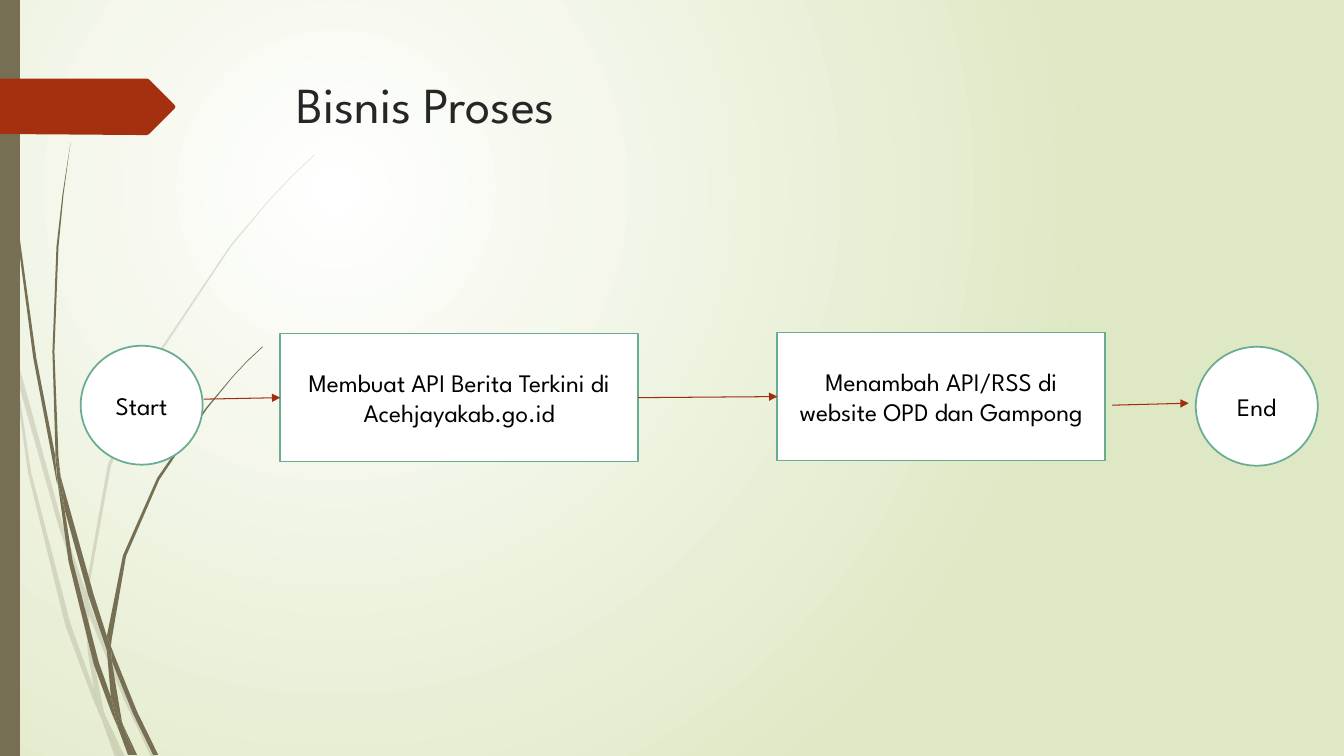
from dataclasses import dataclass

from lxml import etree
from pptx import Presentation, util as u
from pptx.dml.color import RGBColor
from pptx.enum import shapes, text
from pptx.oxml.ns import qn

PX = 9144  # EMU per px, 100 px to the inch


@dataclass(frozen=True)
class Theme:
    font: str = "League Spartan"
    title_size: int = 36
    body_size: int = 18
    border_width: float = 1.25
    arrow_width: float = 0.75
    title: str = "262626"
    ink: str = "000000"
    white: str = "FFFFFF"
    meadow: str = "DFE8C4"
    grass: str = "766F54"
    tag: str = "A53010"
    border: str = "6AAC91"
    arrow: str = "9E2E0F"


THEME = Theme()
SLIDE_SIZE = (1333, 750)
TITLE = ("Bisnis Proses", (284, 68, 975, 140))

# name: (preset, text, (left, top, width, height))
STEPS = {
    "api": ("RECTANGLE", "Membuat API Berita Terkini di Acehjayakab.go.id", (278, 331, 355, 127)),
    "website": ("RECTANGLE", "Menambah API/RSS di website OPD dan Gampong", (771, 330, 325, 127)),
    "end": ("OVAL", "End", (1186, 344, 121, 118)),
    "start": ("OVAL", "Start", (80, 343, 121, 118)),
}
# (from, to, step joined at its right side, step joined at its left side)
ARROWS = [
    ((633, 393), (771, 395), "api", "website"),
    ((202, 396), (278, 395), None, "api"),
    ((1103, 402), (1179, 400), None, None),
]

SIDEBAR = [(0, 0), (20, 0), (20, 750), (0, 750)]
TAG = [(0, 78), (146, 78), (148, 79), (173, 104), (174, 106), (173, 108),
       (148, 133), (146, 134), (136, 134), (0, 133)]

# Outlines of the grass blades, tip to tip and back
PALE_BLADES = [
    [(11, 350), (9, 322), (0, 282), (0, 299), (10, 344)],
    [(58, 522), (84, 599), (85, 586), (62, 520), (14, 345), (17, 376)],
    [(92, 607), (88, 596), (88, 610), (123, 694), (150, 751), (155, 751), (127, 692)],
    [(119, 751), (124, 751), (105, 711)],
    [(93, 683), (70, 619), (31, 469), (17, 376), (11, 350), (28, 470), (65, 621),
     (92, 693), (101, 714), (99, 707)],
    [(84, 599), (87, 646), (93, 683), (96, 692), (105, 711), (103, 706), (91, 646),
     (88, 610), (88, 608)],
    [(88, 584), (110, 462), (160, 349), (229, 245), (268, 198), (290, 175), (312, 154),
     (312, 153), (289, 175), (268, 197), (228, 244), (158, 348), (107, 461), (85, 584),
     (85, 586), (88, 596)],
    [(101, 714), (114, 751), (119, 751)],
    [(88, 608), (88, 610), (88, 596), (85, 586), (84, 599)],
    [(96, 692), (93, 683), (99, 707), (101, 714), (119, 751), (105, 711)],
]
DARK_BLADES = [
    [(7, 110), (17, 233), (33, 355), (56, 477), (57, 481), (55, 457), (55, 453), (36, 355),
     (19, 232), (8, 109), (5, 48), (4, 0), (3, 0), (4, 48)],
    [(88, 592), (106, 645), (106, 631), (93, 590), (60, 472), (64, 505)],
    [(113, 649), (110, 641), (111, 656), (132, 708), (152, 749), (157, 749), (136, 706)],
    [(110, 691), (98, 657), (72, 556), (64, 505), (57, 477), (68, 557), (93, 659),
     (111, 708), (117, 722), (116, 717)],
    [(60, 472), (58, 453), (54, 349), (58, 245), (63, 193), (70, 141), (62, 193),
     (56, 245), (52, 349), (55, 449)],
    [(133, 749), (136, 749), (122, 719)],
    [(57, 477), (64, 505), (60, 472), (55, 449), (55, 453)],
    [(111, 633), (125, 552), (158, 476), (205, 406), (231, 374), (245, 359), (261, 344),
     (260, 344), (245, 358), (231, 373), (204, 405), (156, 474), (122, 551), (106, 631),
     (110, 641)],
    [(117, 722), (127, 749), (131, 749)],
    [(106, 645), (110, 691), (116, 706), (122, 719), (121, 716), (111, 656), (109, 651)],
    [(106, 645), (109, 651), (111, 656), (110, 641), (106, 631)],
    [(116, 706), (110, 691), (116, 717), (117, 722), (130, 749), (133, 749), (122, 719)],
]


def color(value):
    return RGBColor.from_string(value)


def place(shape, box):
    shape.left, shape.top, shape.width, shape.height = [v * PX for v in box]


def style_text(frame, words, size, ink, align):
    frame.text = words
    frame.word_wrap = True
    paragraph = frame.paragraphs[0]
    paragraph.alignment = align
    font = paragraph.font
    font.name, font.size = THEME.font, u.Pt(size)
    font.color.rgb = color(ink)


def paint_background(slide):
    """Radial gradient centred a quarter of the way in from the top left."""
    fill = slide.background.fill
    fill.gradient()
    for stop, value in zip(fill.gradient_stops, (THEME.white, THEME.meadow)):
        stop.color.rgb = color(value)
    gradient = slide.background._cSld.find(".//" + qn("a:gradFill"))
    linear = gradient.find(qn("a:lin"))
    radial = etree.Element(qn("a:path"), {"path": "circle"})
    etree.SubElement(radial, qn("a:fillToRect"),
                     {"l": "50000", "t": "50000", "r": "100000", "b": "100000"})
    gradient.replace(linear, radial)


def add_outline(slide, points, fill, opacity=100):
    builder = slide.shapes.build_freeform(*points[0], scale=PX)
    builder.add_line_segments(points[1:], close=True)
    shape = builder.convert_to_shape()
    shape.shadow.inherit = False
    shape.fill.solid()
    shape.fill.fore_color.rgb = color(fill)
    shape.line.fill.background()
    if opacity < 100:
        rgb = shape._element.spPr.find(".//" + qn("a:srgbClr"))
        etree.SubElement(rgb, qn("a:alpha"), {"val": str(opacity * 1000)})


def add_step(slide, preset, words, box):
    shape = slide.shapes.add_shape(shapes.MSO_SHAPE[preset], *[v * PX for v in box])
    shape.shadow.inherit = False
    shape.fill.solid()
    shape.fill.fore_color.rgb = color(THEME.white)
    shape.line.color.rgb = color(THEME.border)
    shape.line.width = u.Pt(THEME.border_width)
    style_text(shape.text_frame, words, THEME.body_size, THEME.ink, text.PP_ALIGN.CENTER)
    shape.text_frame.vertical_anchor = text.MSO_ANCHOR.MIDDLE
    return shape


def add_arrow(slide, start, end, source, target):
    arrow = slide.shapes.add_connector(
        shapes.MSO_CONNECTOR.STRAIGHT, *[v * PX for v in start + end])
    if source:
        arrow.begin_connect(source, 3)
    if target:
        arrow.end_connect(target, 1)
    arrow.line.color.rgb = color(THEME.arrow)
    arrow.line.width = u.Pt(THEME.arrow_width)
    properties = arrow._element.spPr
    etree.SubElement(properties.find(qn("a:ln")), qn("a:tailEnd"), {"type": "triangle"})
    etree.SubElement(properties, qn("a:effectLst"))


def main():
    presentation = Presentation()
    presentation.slide_width, presentation.slide_height = [v * PX for v in SLIDE_SIZE]
    slide = presentation.slides.add_slide(presentation.slide_layouts[5])
    paint_background(slide)

    for blade in PALE_BLADES:
        add_outline(slide, blade, THEME.grass, opacity=20)
    for blade in DARK_BLADES:
        add_outline(slide, blade, THEME.grass)
    add_outline(slide, SIDEBAR, THEME.grass)
    add_outline(slide, TAG, THEME.tag)

    words, box = TITLE
    title = slide.shapes.title
    place(title, box)
    style_text(title.text_frame, words, THEME.title_size, THEME.title, text.PP_ALIGN.LEFT)
    title.text_frame.vertical_anchor = text.MSO_ANCHOR.TOP

    steps = {name: add_step(slide, *step) for name, step in STEPS.items()}
    for start, end, source, target in ARROWS:
        add_arrow(slide, start, end, steps.get(source), steps.get(target))
    presentation.save("out.pptx")


if __name__ == "__main__":
    main()
